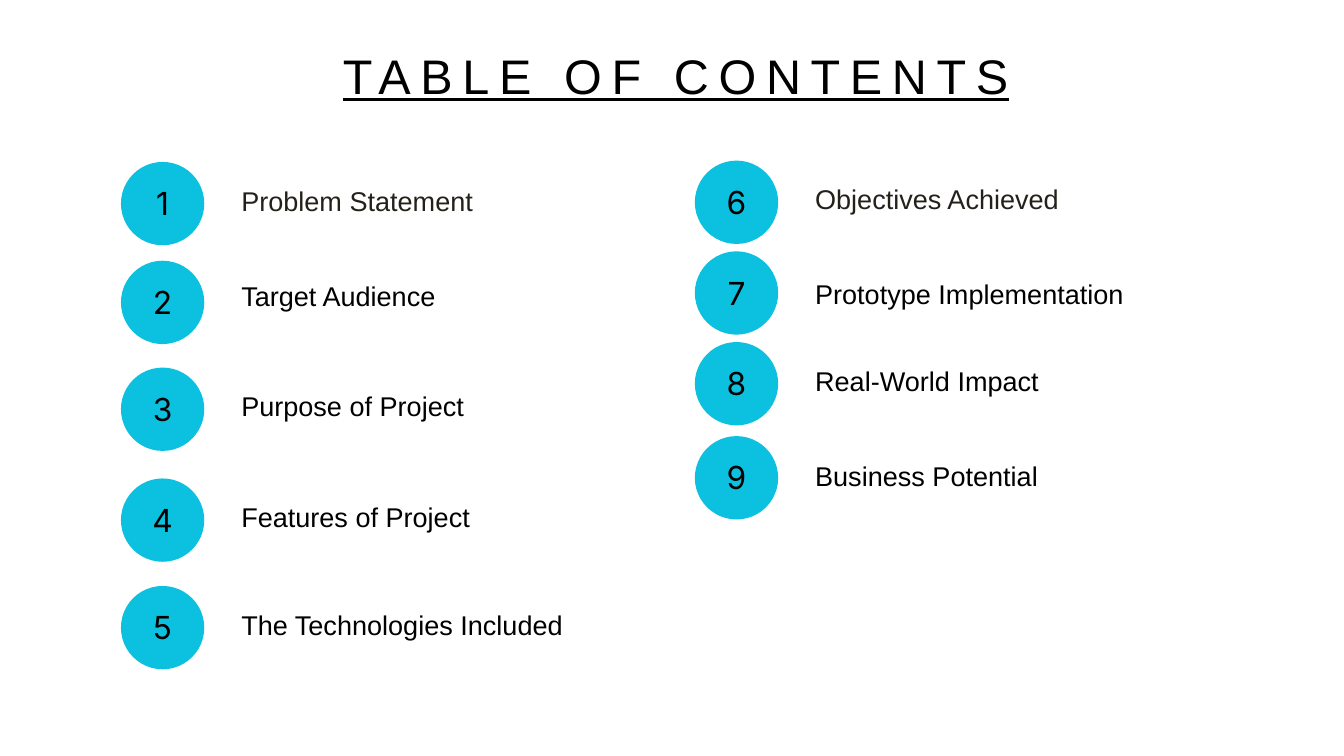
from pptx import Presentation
from pptx.dml.color import RGBColor
from pptx.enum.shapes import MSO_SHAPE
from pptx.enum.text import MSO_ANCHOR, MSO_AUTO_SIZE, PP_ALIGN
from pptx.util import Inches, Pt

COLORS = {"circle": "0CC0DF", "text": "000000", "first": "24211B"}
TITLE = "TABLE OF CONTENTS"
# Each column: circle left, then (topic, circle top, label top)
COLUMNS = [
    (1.8, [
        ("Problem Statement", 2.41, 2.67),
        ("Target Audience", 3.88, 4.08),
        ("Purpose of Project", 5.47, 5.72),
        ("Features of Project", 7.12, 7.37),
        ("The Technologies Included", 8.72, 8.98),
    ]),
    (10.34, [
        ("Objectives Achieved", 2.39, 2.64),
        ("Prototype Implementation", 3.74, 4.05),
        ("Real-World Impact", 5.09, 5.34),
        ("Business Potential", 6.49, 6.75),
    ]),
]
DIAMETER = 1.24
LABEL_OFFSET, LABEL_WIDTH, LABEL_HEIGHT = 1.79, 5.25, 0.61
LINE_FACTOR = 1.4  # line height as a multiple of the text size


def write(shape, text, size, font, color, align, anchor=MSO_ANCHOR.TOP, bottom=0):
    frame = shape.text_frame
    frame.auto_size = MSO_AUTO_SIZE.NONE
    frame.word_wrap = True
    frame.vertical_anchor = anchor
    frame.margin_left = frame.margin_right = frame.margin_top = 0
    frame.margin_bottom = Inches(bottom)
    frame.text = text
    paragraph = frame.paragraphs[0]
    paragraph.alignment = align
    paragraph.line_spacing = Pt(size * LINE_FACTOR)
    paragraph.font.size = Pt(size)
    paragraph.font.name = font
    paragraph.font.color.rgb = RGBColor.from_string(COLORS[color])
    return paragraph


def add_circle(slide, number, left, top):
    circle = slide.shapes.add_shape(
        MSO_SHAPE.OVAL, Inches(left), Inches(top), Inches(DIAMETER), Inches(DIAMETER))
    circle.shadow.inherit = False
    circle.fill.solid()
    circle.fill.fore_color.rgb = RGBColor.from_string(COLORS["circle"])
    circle.line.fill.background()
    write(circle, str(number), 34, "Inter", "text", PP_ALIGN.CENTER,
          MSO_ANCHOR.MIDDLE, bottom=0.11)


def add_label(slide, topic, left, top, color):
    label = slide.shapes.add_textbox(
        Inches(left), Inches(top), Inches(LABEL_WIDTH), Inches(LABEL_HEIGHT))
    write(label, topic, 29, "Arial", color, PP_ALIGN.LEFT)


def main():
    prs = Presentation()
    prs.slide_width, prs.slide_height = Inches(20), Inches(11.25)
    slide = prs.slides.add_slide(prs.slide_layouts[5])

    # Title
    title = slide.shapes.title
    title.left, title.top = Inches(4.58), Inches(0.54)
    title.width, title.height = Inches(10.96), Inches(1.08)
    heading = write(title, TITLE, 52, "Arial", "text", PP_ALIGN.CENTER)
    heading.font.underline = True
    heading.runs[0]._r.get_or_add_rPr().set("spc", "1040")

    # Numbered topics
    number = 0
    for left, topics in COLUMNS:
        for row, (topic, circle_top, label_top) in enumerate(topics):
            number += 1
            add_circle(slide, number, left, circle_top)
            add_label(slide, topic, left + LABEL_OFFSET, label_top,
                      "text" if row else "first")

    prs.save("out.pptx")


if __name__ == "__main__":
    main()
